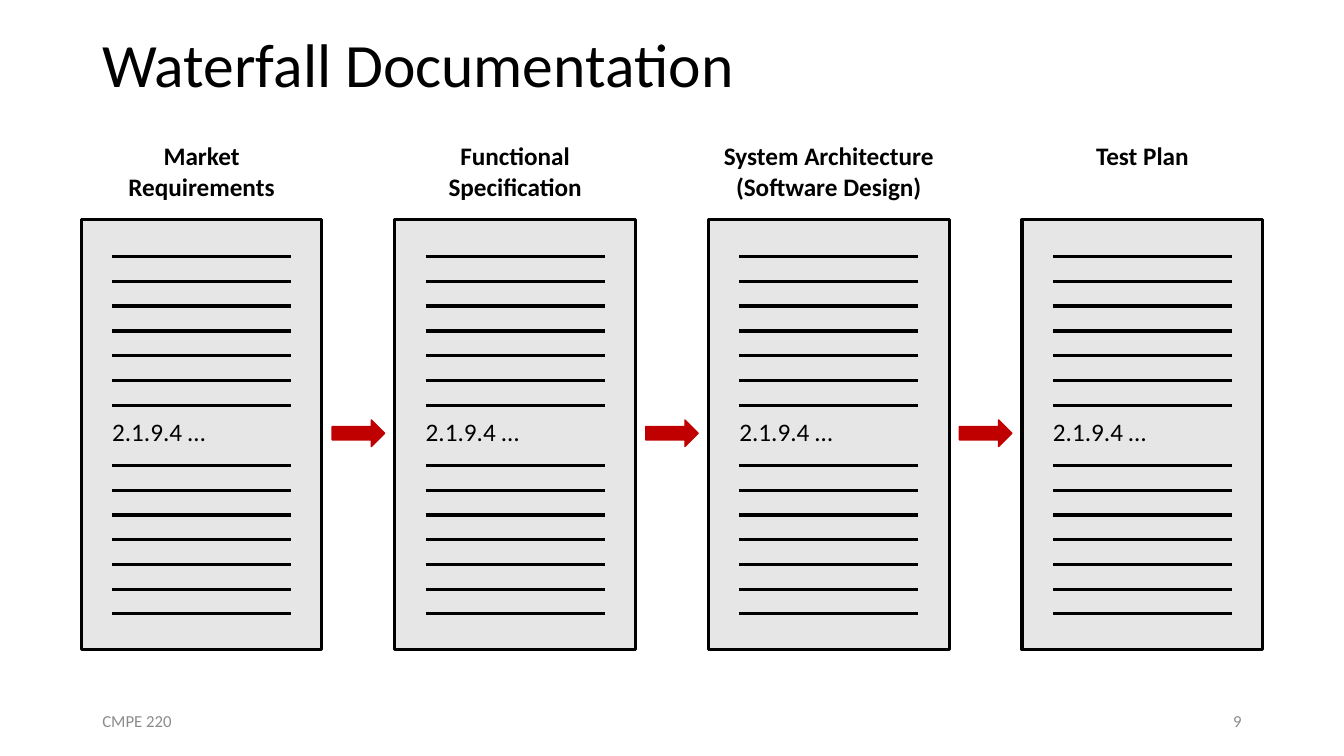
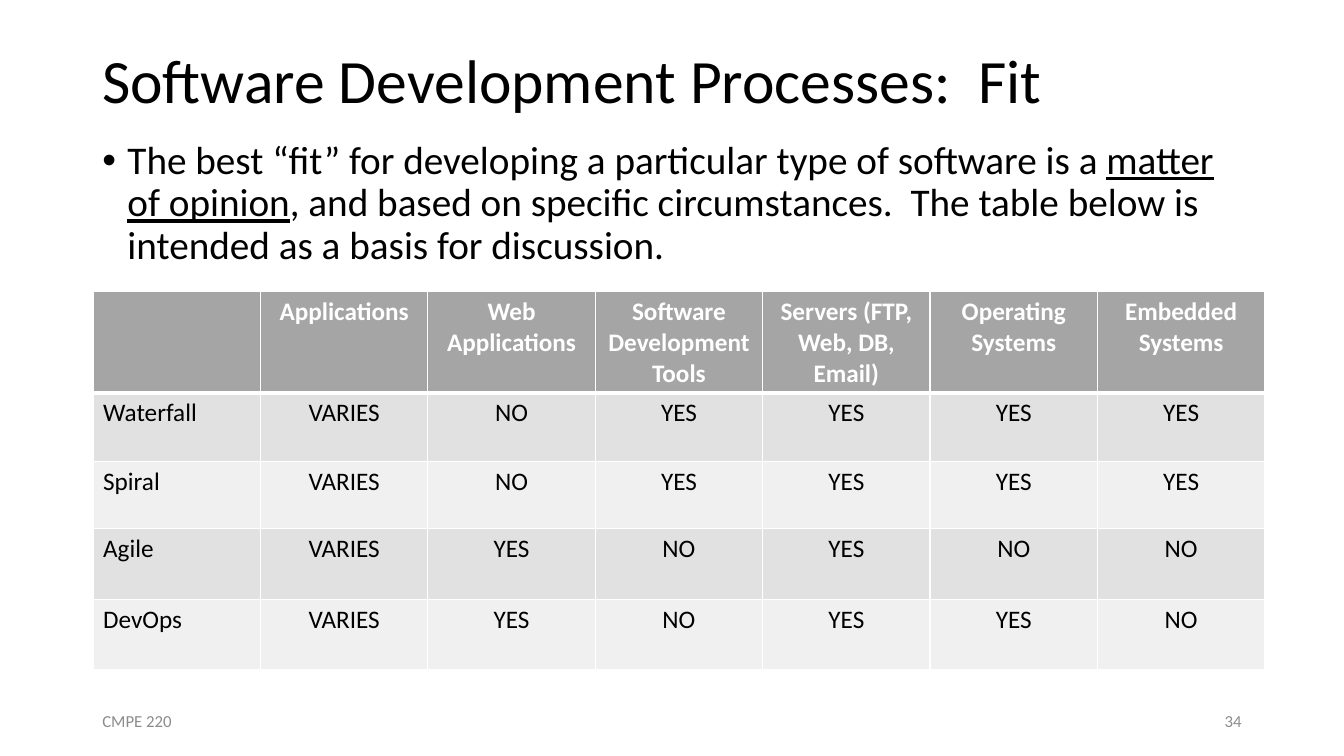
from dataclasses import dataclass

from lxml.etree import SubElement
from pptx import Presentation
from pptx.dml.color import RGBColor
from pptx.enum.shapes import MSO_CONNECTOR, MSO_SHAPE
from pptx.enum.text import MSO_ANCHOR, PP_ALIGN
from pptx.oxml.ns import qn
from pptx.util import Pt


@dataclass(frozen=True)
class Theme:
    font: str = "Calibri"
    ink: str = "000000"
    paper: str = "FFFFFF"
    muted: str = "8C8C8C"
    page: str = "E7E6E6"
    arrow: str = "C00000"
    header: str = "A5A5A5"
    bands: tuple = ("E1E1E1", "F0F0F0")
    title_size: float = 44
    body_size: float = 28
    label_size: float = 18
    footer_size: float = 12
    rule: float = 2.25


@dataclass(frozen=True)
class Box:
    left: float
    top: float
    width: float
    height: float

    def inner(self, dx, dy, width, height):
        return Box(self.left + dx, self.top + dy, width, height)

    def lengths(self):
        return Pt(self.left), Pt(self.top), Pt(self.width), Pt(self.height)


THEME = Theme()
SLIDE = Box(0, 0, 960, 540)
MARGIN = 66
CONTENT_WIDTH = 828
TITLE_HEIGHT = 97

DOCUMENTS = (
    "Market Requirements",
    "Functional Specification",
    "System Architecture (Software Design)",
    "Test Plan",
)
SECTION = "2.1.9.4 …"
INTRO = (
    ("The best “fit” for developing a particular type of software is a ", False),
    ("matter of opinion", True),
    (", and based on specific circumstances.  The table below is intended as a basis for discussion.", False),
)
FIT = (
    ("", "Applications", "Web Applications", "Software Development Tools",
     "Servers (FTP, Web, DB, Email)", "Operating Systems", "Embedded Systems"),
    ("Waterfall", "VARIES", "NO", "YES", "YES", "YES", "YES"),
    ("Spiral", "VARIES", "NO", "YES", "YES", "YES", "YES"),
    ("Agile", "VARIES", "YES", "NO", "YES", "NO", "NO"),
    ("DevOps", "VARIES", "YES", "NO", "YES", "YES", "NO"),
)
FIT_ROW_HEIGHTS = (72, 49, 48, 51, 50)


def rgb(color):
    return RGBColor.from_string(color)


def add_run(paragraph, text, size, color=THEME.ink, bold=False, underline=False):
    run = paragraph.add_run()
    run.text = text
    font = run.font
    font.name, font.size, font.bold = THEME.font, Pt(size), bold
    font.underline = underline
    font.color.rgb = rgb(color)


def add_frame(slide, box, anchor=MSO_ANCHOR.TOP, align=PP_ALIGN.LEFT):
    frame = slide.shapes.add_textbox(*box.lengths()).text_frame
    frame.word_wrap = True
    frame.vertical_anchor = anchor
    paragraph = frame.paragraphs[0]
    paragraph.alignment = align
    return paragraph


def add_block(slide, preset, box, fill, line, line_width):
    block = slide.shapes.add_shape(preset, *box.lengths())
    block.shadow.inherit = False
    block.fill.solid()
    block.fill.fore_color.rgb = rgb(fill)
    block.line.color.rgb = rgb(line)
    block.line.width = Pt(line_width)


def add_text_line(slide, left, top, width):
    line = slide.shapes.add_connector(
        MSO_CONNECTOR.STRAIGHT, Pt(left), Pt(top), Pt(left + width), Pt(top))
    line.line.color.rgb = rgb(THEME.ink)
    line.line.width = Pt(THEME.rule)
    SubElement(line._element.spPr, qn("a:effectLst"))


def add_title(slide, title, box):
    heading = add_frame(slide, box, MSO_ANCHOR.MIDDLE)
    heading.line_spacing = 0.9
    add_run(heading, title, THEME.title_size)


def add_footer(slide, number, box):
    part_width = 216
    parts = (
        ("CMPE 220", 0, PP_ALIGN.LEFT),
        (number, box.width - part_width, PP_ALIGN.RIGHT),
    )
    for text, offset, align in parts:
        part = add_frame(slide, box.inner(offset, 0, part_width, box.height),
                         MSO_ANCHOR.MIDDLE, align)
        add_run(part, text, THEME.footer_size, THEME.muted)


def start_slide(deck, title, number, title_top):
    slide = deck.slides.add_slide(deck.slide_layouts[6])
    add_title(slide, title, SLIDE.inner(MARGIN, title_top, CONTENT_WIDTH, TITLE_HEIGHT))
    add_footer(slide, number, SLIDE.inner(MARGIN, 500.5, CONTENT_WIDTH, 29))
    return slide


def add_document(slide, name, box):
    caption_height = 60
    caption = add_frame(slide, box.inner(0, 0, box.width, 51), align=PP_ALIGN.CENTER)
    add_run(caption, name, THEME.label_size, bold=True)
    page = box.inner(0, caption_height, box.width, box.height - caption_height)
    add_block(slide, MSO_SHAPE.RECTANGLE, page, THEME.page, THEME.ink, THEME.rule)
    indent = 22
    for first_line, pitch in ((26, 17.8), (175.5, 17.67)):
        for index in range(7):
            add_text_line(slide, page.left + indent, page.top + first_line + index * pitch,
                          page.width - 2 * indent)
    section = add_frame(slide, page.inner(15, 137, 165, 29))
    add_run(section, SECTION, THEME.label_size)


def add_document_chain(slide, box):
    page_width = 172
    pitch = (box.width - page_width) / (len(DOCUMENTS) - 1)
    arrow_width = 37.5
    for index, name in enumerate(DOCUMENTS):
        add_document(slide, name, box.inner(index * pitch, 0, page_width, box.height))
        if index:
            arrow_left = index * pitch - (pitch - page_width + arrow_width) / 2
            add_block(slide, MSO_SHAPE.RIGHT_ARROW,
                      box.inner(arrow_left, 203, arrow_width, 19),
                      THEME.arrow, THEME.arrow, 1)


def add_intro(slide, box):
    intro = add_frame(slide, box)
    intro.line_spacing = 0.9
    intro.space_before = Pt(10)
    properties = intro._p.get_or_add_pPr()
    properties.set("marL", str(Pt(18)))
    properties.set("indent", str(Pt(-18)))
    SubElement(properties, qn("a:buFont")).set("typeface", "Arial")
    SubElement(properties, qn("a:buChar")).set("char", "•")
    for text, underline in INTRO:
        add_run(intro, text, THEME.body_size, underline=underline)


def set_borders(cell, top, bottom):
    properties = cell._tc.get_or_add_tcPr()
    for side, width in (("L", 1), ("R", 1), ("T", top), ("B", bottom)):
        border = SubElement(properties, qn(f"a:ln{side}"), w=str(Pt(width)))
        fill = SubElement(border, qn("a:solidFill"))
        SubElement(fill, qn("a:srgbClr"), val=THEME.paper)


def fill_cell(cell, text, row, column):
    is_header = row == 0
    set_borders(cell, top=3 if row == 1 else 1, bottom=3 if is_header else 1)
    cell.fill.solid()
    cell.fill.fore_color.rgb = rgb(THEME.header if is_header else THEME.bands[(row - 1) % 2])
    if text:
        paragraph = cell.text_frame.paragraphs[0]
        paragraph.alignment = PP_ALIGN.CENTER if column else PP_ALIGN.LEFT
        add_run(paragraph, text, THEME.label_size,
                THEME.paper if is_header else THEME.ink, bold=is_header)


def add_fit_table(slide, box):
    table = slide.shapes.add_table(len(FIT), len(FIT[0]), *box.lengths()).table
    for column in table.columns:
        column.width = Pt(box.width / len(FIT[0]))
    for row, (texts, height) in enumerate(zip(FIT, FIT_ROW_HEIGHTS)):
        table.rows[row].height = Pt(height)
        for column, text in enumerate(texts):
            fill_cell(table.cell(row, column), text, row, column)


def build_documentation(deck):
    slide = start_slide(deck, "Waterfall Documentation", "9", 0)
    add_document_chain(slide, SLIDE.inner(58, 97, 844, 367))


def build_fit(deck):
    slide = start_slide(deck, "Software Development Processes:  Fit", "34", 11)
    add_intro(slide, SLIDE.inner(MARGIN, 97, CONTENT_WIDTH, 111))
    add_fit_table(slide, SLIDE.inner(66.5, 208.5, 837, sum(FIT_ROW_HEIGHTS)))


def main():
    deck = Presentation()
    deck.slide_width, deck.slide_height = Pt(SLIDE.width), Pt(SLIDE.height)
    build_documentation(deck)
    build_fit(deck)
    deck.save("out.pptx")


if __name__ == "__main__":
    main()
